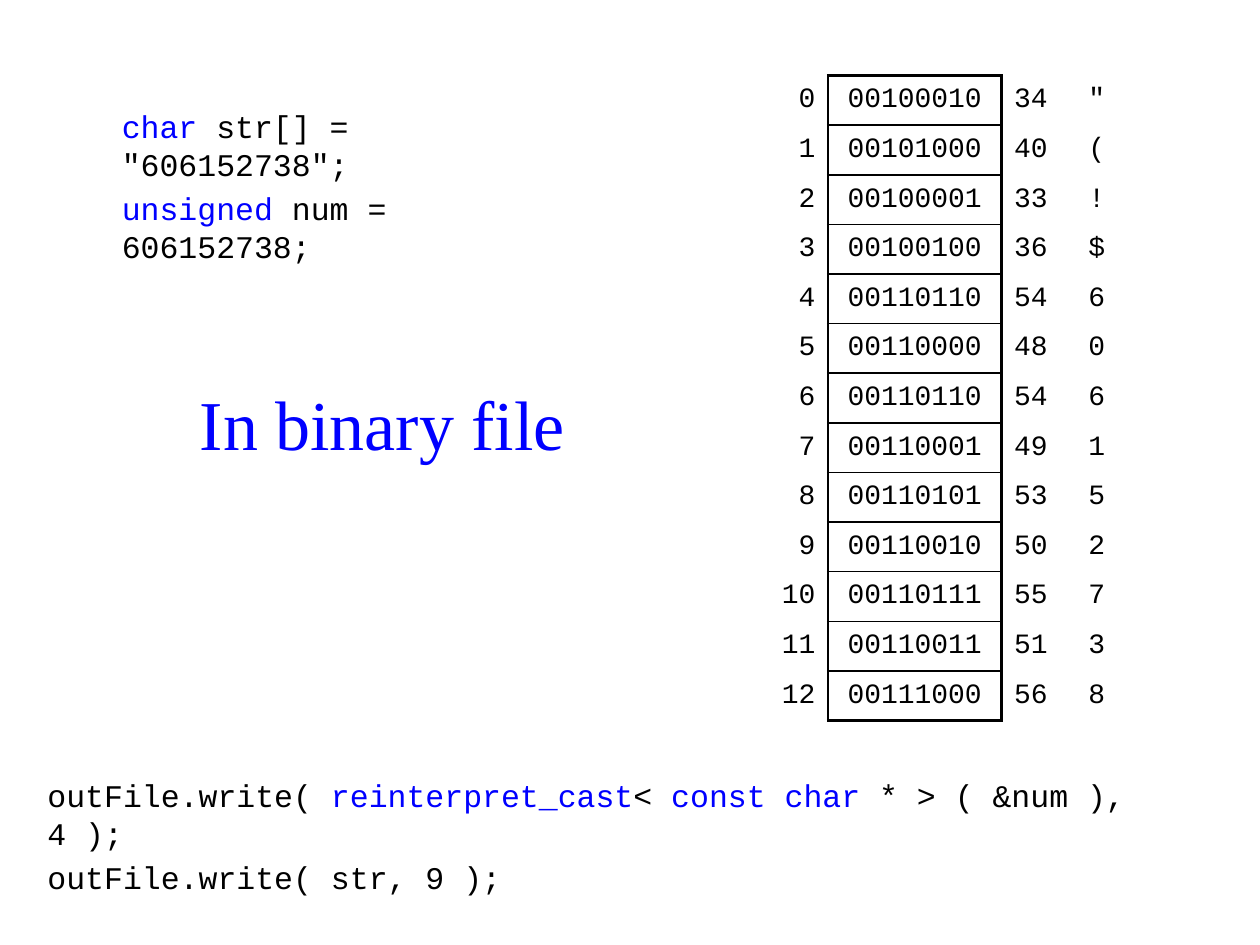
from dataclasses import dataclass

from lxml.etree import SubElement
from pptx import Presentation
from pptx.dml.color import RGBColor
from pptx.enum.text import MSO_ANCHOR, PP_ALIGN
from pptx.oxml.ns import qn
from pptx.util import Pt

BLACK = "000000"
BLUE = "0000FF"
CODE_FONT = "Courier New"
TITLE_FONT = "Times New Roman"


@dataclass
class Span:
    text: str
    color: str = BLACK


@dataclass
class TextBlock:
    left: float
    top: float
    width: float
    height: float
    lines: list[list[Span]]
    font: str = CODE_FONT
    size: float = 18
    space_before: float = 3.6
    align: PP_ALIGN = PP_ALIGN.LEFT
    anchor: MSO_ANCHOR = MSO_ANCHOR.TOP


@dataclass
class Column:
    width: float
    align: PP_ALIGN


def set_color(font, color: str) -> None:
    font.color.rgb = RGBColor.from_string(color)


def style_paragraph(para, font: str, size: float, align: PP_ALIGN, space: float) -> None:
    para.font.name = font
    para.font.size = Pt(size)
    para.alignment = align
    para.space_before = Pt(space)


def add_text(page, block: TextBlock) -> None:
    box = page.shapes.add_textbox(
        Pt(block.left), Pt(block.top), Pt(block.width), Pt(block.height)
    )
    frame = box.text_frame
    frame.word_wrap = True
    frame.vertical_anchor = block.anchor
    for index, line in enumerate(block.lines):
        para = frame.add_paragraph() if index else frame.paragraphs[0]
        style_paragraph(para, block.font, block.size, block.align, block.space_before)
        for span in line:
            run = para.add_run()
            run.text = span.text
            set_color(run.font, span.color)


def set_borders(cell, widths: dict[str, float]) -> None:
    properties = cell._tc.get_or_add_tcPr()
    for side in "LRTB":
        width = widths.get(side, 0)
        line = SubElement(properties, qn(f"a:ln{side}"), w=str(Pt(width)))
        if width:
            fill = SubElement(line, qn("a:solidFill"))
            SubElement(fill, qn("a:srgbClr"), val=BLACK)
        else:
            SubElement(line, qn("a:noFill"))


def cell_borders(row: int, column: int, last_row: int) -> dict[str, float]:
    if column == 0:
        return {"R": 1.5}
    if column == 1:
        top = 1.5 if row == 0 else 1
        bottom = 1.5 if row == last_row else 1
        return {"L": 1.5, "R": 1.5, "T": top, "B": bottom}
    if column == 2:
        return {"L": 1.5}
    return {}


def add_byte_table(page, left: float, top: float, row_height: float,
                   columns: list[Column], data: bytes) -> None:
    width = sum(column.width for column in columns)
    table = page.shapes.add_table(
        len(data), len(columns), Pt(left), Pt(top), Pt(width), Pt(row_height * len(data))
    ).table
    table.first_row = False
    table.horz_banding = False
    for index, column in enumerate(columns):
        table.columns[index].width = Pt(column.width)
    for row, byte in enumerate(data):
        table.rows[row].height = Pt(row_height)
        values = [str(row), f"{byte:08b}", str(byte), chr(byte)]
        for index, (column, value) in enumerate(zip(columns, values)):
            cell = table.cell(row, index)
            cell.text = value
            cell.vertical_anchor = MSO_ANCHOR.MIDDLE
            cell.margin_left = cell.margin_right = Pt(7.2)
            cell.margin_top = cell.margin_bottom = Pt(2.88)
            para = cell.text_frame.paragraphs[0]
            style_paragraph(para, CODE_FONT, 16, column.align, 3.2)
            set_color(para.font, BLACK)
            set_borders(cell, cell_borders(row, index, len(data) - 1))
            cell.fill.background()


NUMBER = 606152738
FILE_BYTES = NUMBER.to_bytes(4, "little") + str(NUMBER).encode()

COLUMNS = [
    Column(42.5, PP_ALIGN.RIGHT),
    Column(99.2, PP_ALIGN.CENTER),
    Column(42.5, PP_ALIGN.LEFT),
    Column(28.35, PP_ALIGN.LEFT),
]

TITLE = TextBlock(
    105, 213, 227, 56.7, [[Span("In binary file", BLUE)]],
    TITLE_FONT, 40, 0, PP_ALIGN.CENTER, MSO_ANCHOR.MIDDLE,
)
WRITE_CALLS = TextBlock(20, 440, 680.4, 56.7, [
    [
        Span("outFile.write( "),
        Span("reinterpret_cast", BLUE),
        Span("< "),
        Span("const char", BLUE),
        Span(" * > ( &num ), 4 );"),
    ],
    [Span("outFile.write( str, 9 );")],
])
DECLARATIONS = TextBlock(62.5, 57.6, 283.5, 56.7, [
    [Span("char ", BLUE), Span(f'str[] = "{NUMBER}";')],
    [Span("unsigned ", BLUE), Span(f"num = {NUMBER};")],
])

deck = Presentation()
deck.slide_width = Pt(720)
deck.slide_height = Pt(540)
page = deck.slides.add_slide(deck.slide_layouts[6])

add_byte_table(page, 430.6, 43.2, 28.35, COLUMNS, FILE_BYTES)
for block in (TITLE, WRITE_CALLS, DECLARATIONS):
    add_text(page, block)

deck.save("out.pptx")
